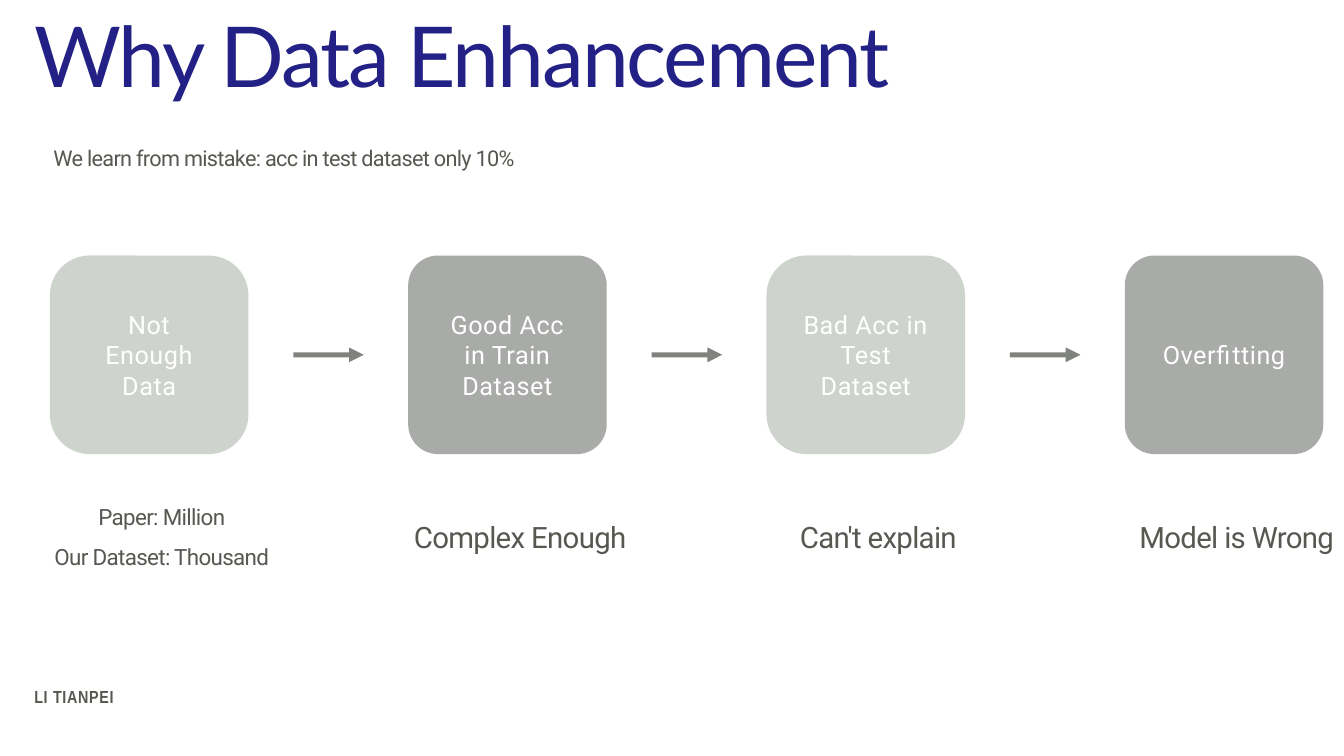
from pptx import Presentation
from pptx.dml.color import RGBColor
from pptx.enum import shapes, text
from pptx.oxml.ns import qn
from pptx.util import Inches, Pt
from lxml import etree

WHITE = RGBColor(0xFF, 0xFF, 0xFF)
NAVY = RGBColor(0x23, 0x21, 0x85)
GRAPHITE = RGBColor(0x55, 0x59, 0x52)
SAGE = RGBColor(0xA1, 0xA9, 0x9E)

TITLE = dict(size=Pt(120), name="Lato", color=NAVY, spacing=-3)
SUBTITLE = dict(size=Pt(31), name="Roboto", color=GRAPHITE, spacing=-1)
LABEL = dict(size=Pt(36), name="Roboto", color=WHITE, spacing=0.8)
CAPTION = dict(size=Pt(42), name="Roboto", color=GRAPHITE, spacing=-1)
DETAIL = dict(CAPTION, size=Pt(32))
AUTHOR = dict(size=Pt(25), name="Arial Narrow", color=GRAPHITE, bold=True, spacing=1)

STEP_SIDE, STEP_PITCH = 3.94, 7.11
STEPS = [
    ("Not Enough Data", ["Paper: Million", "Our Dataset: Thousand"], DETAIL, SAGE, 0.2),
    ("Good Acc in Train Dataset", ["Complex Enough"], CAPTION, GRAPHITE, 0.15),
    ("Bad Acc in Test Dataset", ["Can't explain"], CAPTION, SAGE, 0.2),
    ("Overfitting", ["Model is Wrong"], CAPTION, GRAPHITE, 0.15),
]


def set_alpha(fill_parent, percent):
    """Make the solid fill directly under the given XML element translucent."""
    color = fill_parent.find(qn("a:solidFill"))[0]
    etree.SubElement(color, qn("a:alpha")).set("val", str(percent * 1000))


def add_text(page, box, lines, style, align=text.PP_ALIGN.LEFT,
             anchor=text.MSO_ANCHOR.MIDDLE, line_spacing=None):
    frame = page.shapes.add_textbox(*map(Inches, box)).text_frame
    settings = dict(word_wrap=True, vertical_anchor=anchor)
    settings.update({f"margin_{side}": Inches(0.06)
                     for side in ("left", "top", "right", "bottom")})
    for key, value in settings.items():
        setattr(frame, key, value)
    for index, line in enumerate(lines):
        para = frame.add_paragraph() if index else frame.paragraphs[0]
        para.alignment, para.line_spacing = align, line_spacing
        if index:
            para.space_before = Pt(18)
        span = para.add_run()
        span.text = line
        for key, value in style.items():
            if key == "color":
                span.font.color.rgb = value
            elif key == "spacing":
                span.font._element.set("spc", str(round(value * 100)))
            else:
                setattr(span.font, key, value)


def add_heading(page, left, top, width):
    add_text(page, (left, top, width, 2.13), ["Why Data Enhancement"], TITLE,
             anchor=text.MSO_ANCHOR.TOP, line_spacing=0.6)
    add_text(page, (left + 0.38, top + 1.92, width - 0.38, 1),
             ["We learn from mistake: acc in test dataset only 10%"], SUBTITLE)


def add_step(page, left, top, label, caption, caption_style, color, rounding):
    """Draw a rounded tile with its label inside and its caption below."""
    tile = page.shapes.add_shape(shapes.MSO_SHAPE.ROUNDED_RECTANGLE,
                                 *map(Inches, (left, top, STEP_SIDE, STEP_SIDE)))
    tile.adjustments[0] = rounding
    tile.shadow.inherit = False
    tile.fill.solid()
    tile.fill.fore_color.rgb = color
    set_alpha(tile._element.spPr, 50)
    tile.line.fill.background()

    center = text.PP_ALIGN.CENTER
    label_width, label_height = 2.61, 2.02
    add_text(page, (left + (STEP_SIDE - label_width) / 2,
                    top + (STEP_SIDE - label_height) / 2, label_width, label_height),
             [label], LABEL, center)
    add_text(page, (left - 0.7, top + 4.46, 5.84, 2.24), caption, caption_style, center)


def add_arrow(page, left, middle):
    arrow = page.shapes.add_connector(
        shapes.MSO_CONNECTOR.STRAIGHT,
        *map(Inches, (left, middle, left + 1.4, middle)))
    arrow.line.width = Pt(7)
    arrow.line.color.rgb = GRAPHITE
    outline = arrow.line._get_or_add_ln()
    set_alpha(outline, 75)
    etree.SubElement(outline, qn("a:tailEnd")).set("type", "triangle")
    etree.SubElement(arrow._element.spPr, qn("a:effectLst"))


def add_flow(page, left, top):
    for index, step in enumerate(STEPS):
        step_left = left + index * STEP_PITCH
        add_step(page, step_left, top, *step)
        if index < len(STEPS) - 1:
            add_arrow(page, step_left + 4.83, top + STEP_SIDE / 2)


def main():
    deck = Presentation()
    deck.slide_width, deck.slide_height = Inches(26.67), Inches(15)
    page = deck.slides.add_slide(deck.slide_layouts[6])
    add_heading(page, 0.62, 0.71, 25.42)
    add_flow(page, 0.99, 5.07)
    add_text(page, (0.62, 13.56, 25.42, 0.61), ["LI TIANPEI"], AUTHOR,
             anchor=text.MSO_ANCHOR.TOP)
    deck.save("out.pptx")


if __name__ == "__main__":
    main()
